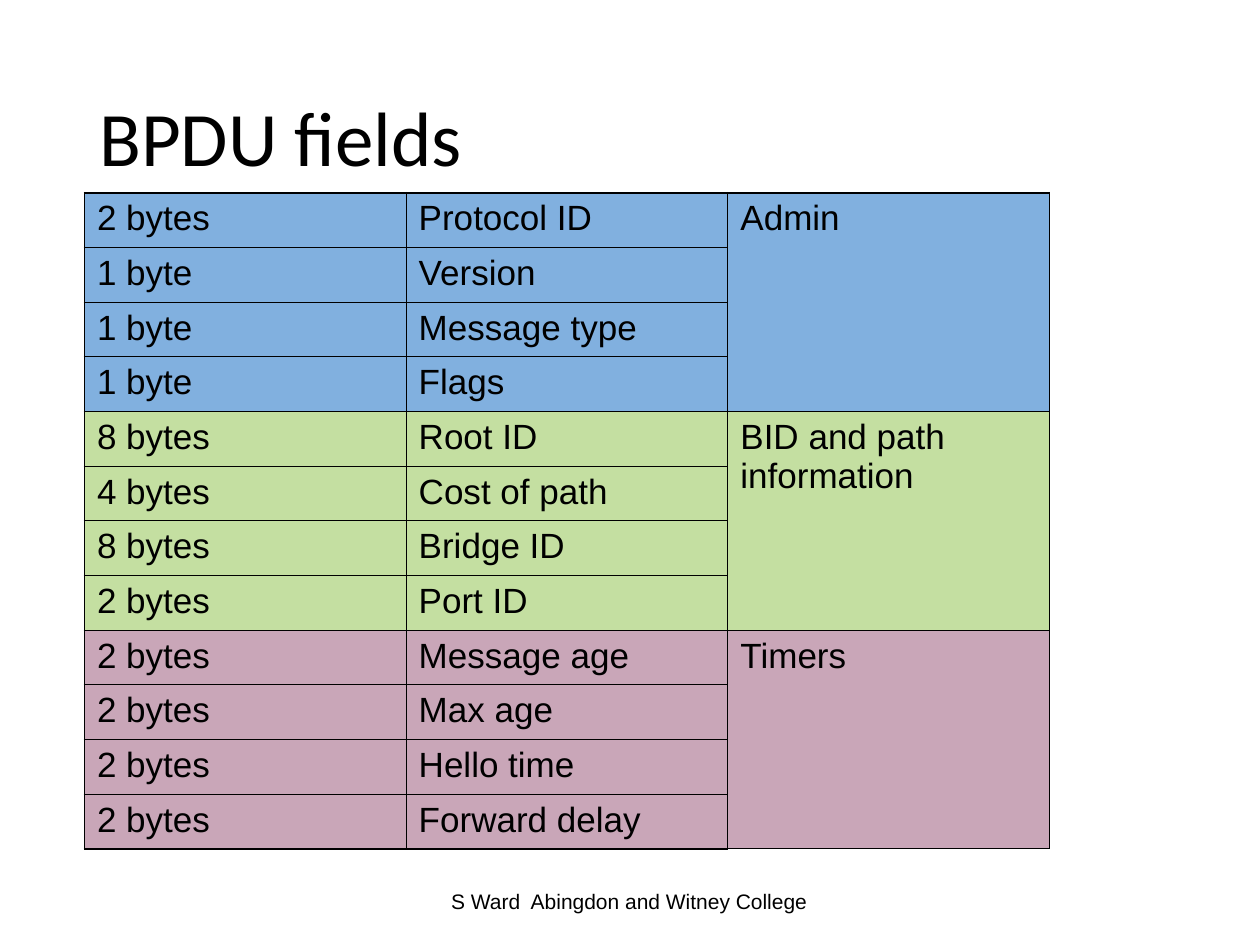
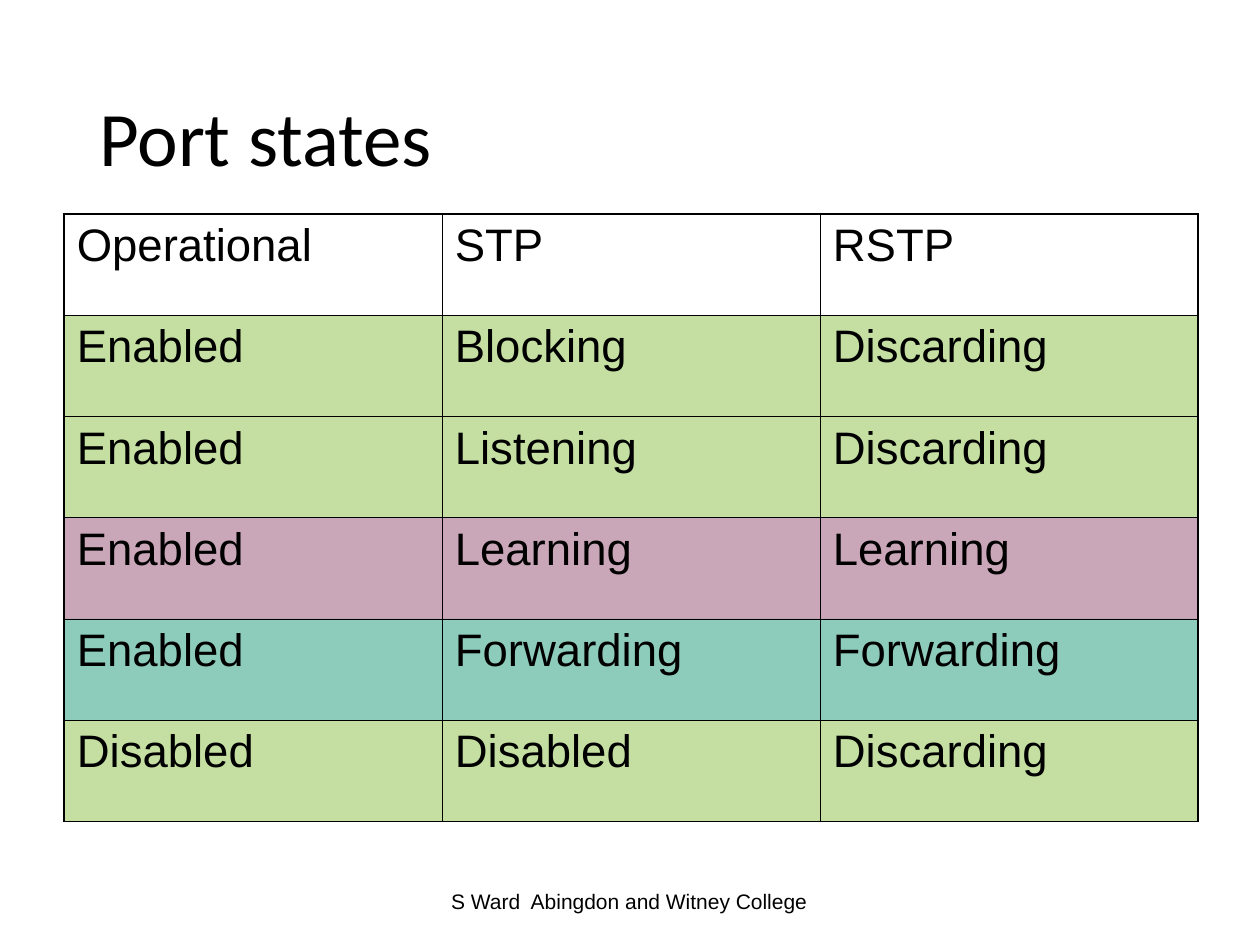
from dataclasses import dataclass
from typing import Optional

from lxml import etree
from pptx import Presentation, util as u
from pptx.dml.color import RGBColor
from pptx.enum import text
from pptx.oxml import ns

W, H = u.Inches(10), u.Inches(7.5)
COL, ROW = W / 100, H / 75

BLACK, WHITE = "000000", "FFFFFF"
BLUE, GREEN, PLUM, TEAL = "0563C1", "8BC145", "954F72", "1D9A78"
TITLE_FONT, BODY_FONT = "Calibri", "Arial"
INNER, OUTER = 0.45, 1.08
FOOTER = "S Ward  Abingdon and Witney College"


@dataclass
class Box:
    left: float
    top: float
    width: float
    height: float

    def emu(self) -> tuple[int, int, int, int]:
        return (round(self.left * COL), round(self.top * ROW),
                round(self.width * COL), round(self.height * ROW))


@dataclass
class Band:
    fill: Optional[str]
    rows: list[tuple[str, ...]]
    group: Optional[str] = None


@dataclass
class TableSlide:
    title: str
    box: Box
    size: int
    bands: list[Band]


TITLE_BOX = Box(6.9, 4, 86.3, 14.5)
FOOTER_BOX = Box(33.1, 69.5, 33.7, 4)

SLIDES = [
    TableSlide("BPDU fields", Box(6.7, 15.3, 76.6, 52), 20, [
        Band(BLUE, [("2 bytes", "Protocol ID"), ("1 byte", "Version"),
                    ("1 byte", "Message type"), ("1 byte", "Flags")], "Admin"),
        Band(GREEN, [("8 bytes", "Root ID"), ("4 bytes", "Cost of path"),
                     ("8 bytes", "Bridge ID"), ("2 bytes", "Port ID")],
             "BID and path information"),
        Band(PLUM, [("2 bytes", "Message age"), ("2 bytes", "Max age"),
                    ("2 bytes", "Hello time"), ("2 bytes", "Forward delay")], "Timers"),
    ]),
    TableSlide("Port states", Box(5.1, 17, 90, 48.2), 26, [
        Band(None, [("Operational", "STP", "RSTP")]),
        Band(GREEN, [("Enabled", "Blocking", "Discarding"),
                     ("Enabled", "Listening", "Discarding")]),
        Band(PLUM, [("Enabled", "Learning", "Learning")]),
        Band(TEAL, [("Enabled", "Forwarding", "Forwarding")]),
        Band(GREEN, [("Disabled", "Disabled", "Discarding")]),
    ]),
]


def rgb(colour: str) -> RGBColor:
    return RGBColor.from_string(colour)


def style(p, font: str, size: float) -> None:
    for r in p.runs:
        r.font.name = font
        r.font.size = u.Pt(size)
        r.font.color.rgb = rgb(BLACK)


def add_text(s, box: Box, words: str, font: str, size: float,
             align=text.PP_ALIGN.LEFT, spacing: float = 1.0) -> None:
    tf = s.shapes.add_textbox(*box.emu()).text_frame
    tf.word_wrap = True
    tf.vertical_anchor = text.MSO_ANCHOR.MIDDLE
    tf.text = words
    p = tf.paragraphs[0]
    p.alignment = align
    p.line_spacing = spacing
    style(p, font, size)


def set_border(cell, side: str, width: float) -> None:
    tc_pr = cell._tc.get_or_add_tcPr()
    ln = etree.SubElement(tc_pr, ns.qn(f"a:ln{side}"), w=str(u.Pt(width)))
    fill = etree.SubElement(ln, ns.qn("a:solidFill"))
    etree.SubElement(fill, ns.qn("a:srgbClr"), val=BLACK)


def set_fill(cell, colour: Optional[str]) -> None:
    if colour is None:
        cell.fill.background()
        return
    cell.fill.solid()
    cell.fill.fore_color.rgb = rgb(colour)
    clr = cell._tc.tcPr.find(".//" + ns.qn("a:solidFill") + "[last()]/" + ns.qn("a:srgbClr"))
    for clr in cell._tc.tcPr.findall(ns.qn("a:solidFill") + "/" + ns.qn("a:srgbClr")):
        etree.SubElement(clr, ns.qn("a:alpha"), val="50000")


def add_bands(s, spec: TableSlide) -> None:
    n_rows = sum(len(band.rows) for band in spec.bands)
    n_cols = 3
    table = s.shapes.add_table(n_rows, n_cols, *spec.box.emu()).table
    table.first_row = table.horz_banding = False
    top = 0
    for band in spec.bands:
        last = top + len(band.rows) - 1
        for i, words in enumerate(band.rows, top):
            if band.group:
                words += (band.group if i == top else "",)
            for j, word in enumerate(words):
                cell = table.cell(i, j)
                cell.text = word
                style(cell.text_frame.paragraphs[0], BODY_FONT, spec.size)
                edges = {"L": j == 0, "R": j == n_cols - 1,
                         "T": i == 0, "B": i == n_rows - 1}
                for side, outer in edges.items():
                    set_border(cell, side, OUTER if outer else INNER)
                set_fill(cell, band.fill)
        if band.group:
            table.cell(top, n_cols - 1).merge(table.cell(last, n_cols - 1))
        top = last + 1


def add_slide(prs, spec: TableSlide) -> None:
    s = prs.slides.add_slide(prs.slide_layouts[6])
    s.background.fill.solid()
    s.background.fill.fore_color.rgb = rgb(WHITE)
    add_text(s, TITLE_BOX, spec.title, TITLE_FONT, 44, spacing=0.9)
    add_bands(s, spec)
    add_text(s, FOOTER_BOX, FOOTER, BODY_FONT, 12, text.PP_ALIGN.CENTER)


def main() -> None:
    prs = Presentation()
    prs.slide_width, prs.slide_height = W, H
    for spec in SLIDES:
        add_slide(prs, spec)
    prs.save("out.pptx")


if __name__ == "__main__":
    main()
